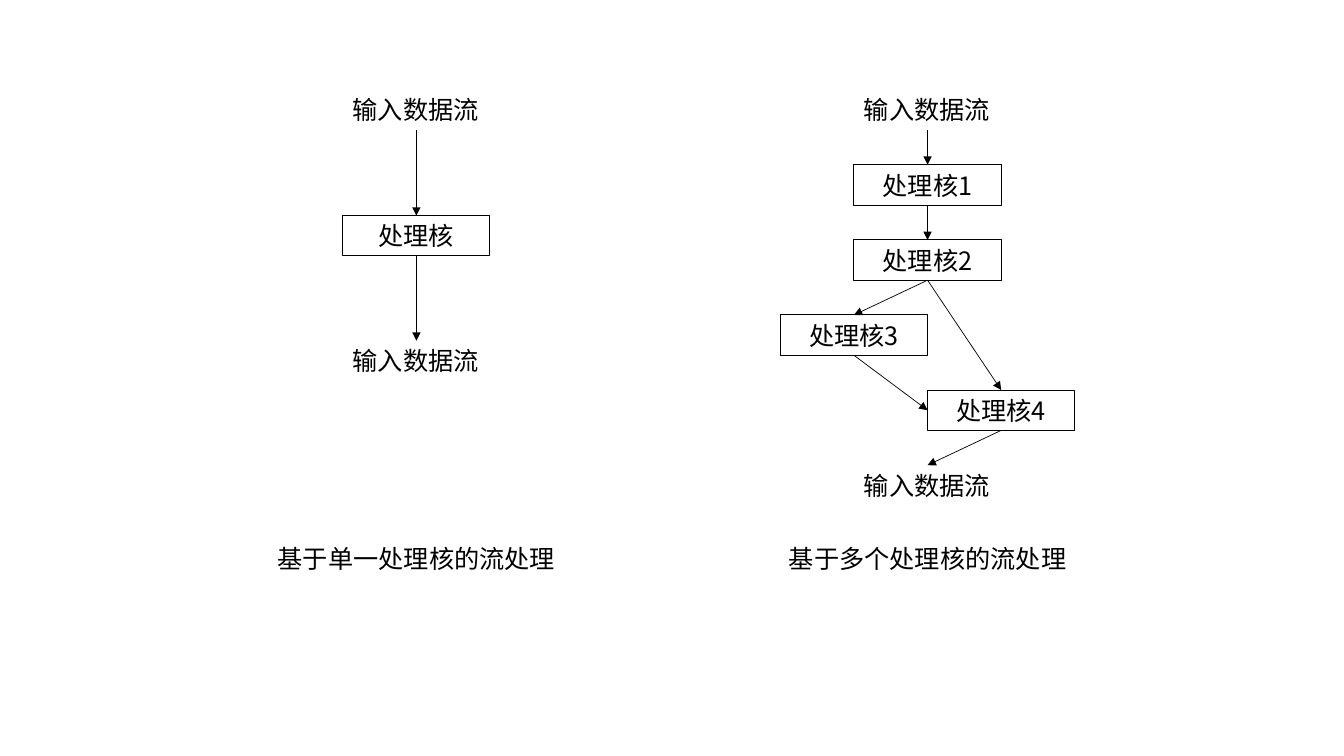
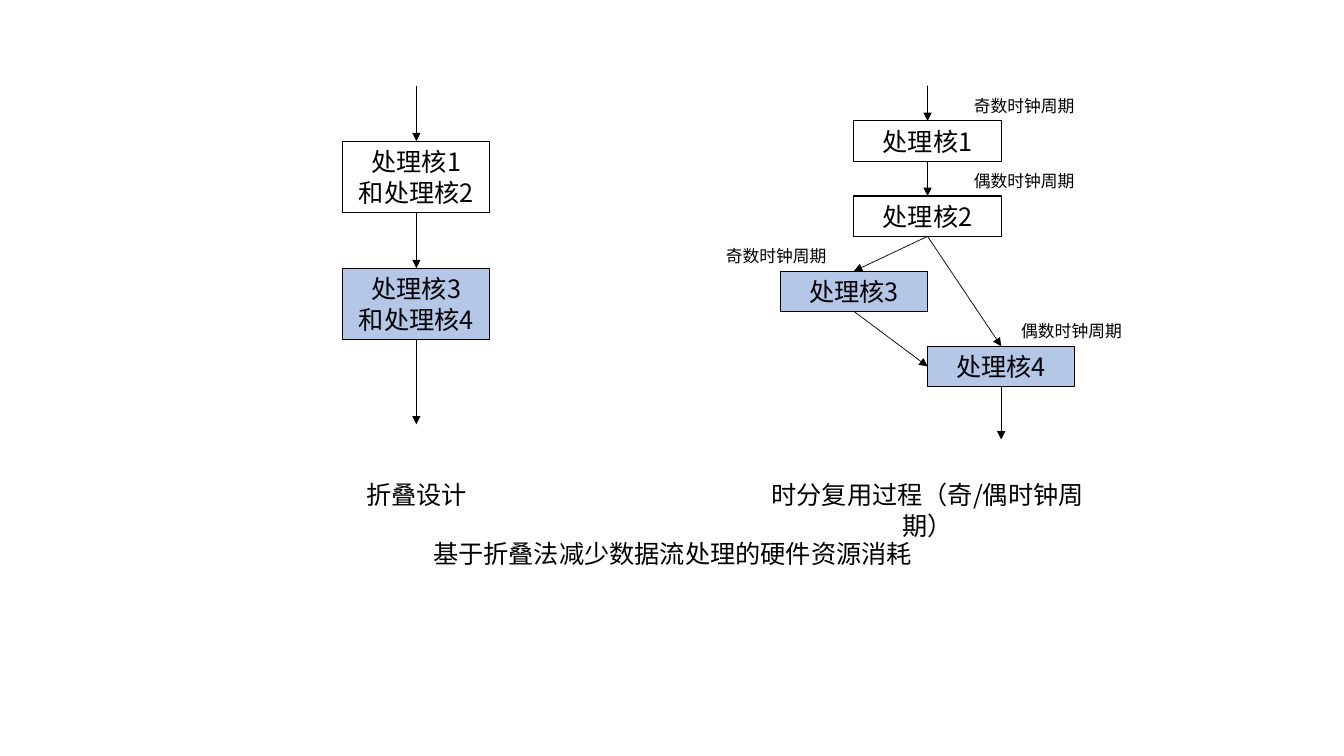
from dataclasses import dataclass

from lxml import etree
from pptx import Presentation
from pptx.dml.color import RGBColor
from pptx.enum.shapes import MSO_CONNECTOR as Connector, MSO_SHAPE as Preset
from pptx.enum.text import MSO_AUTO_SIZE as AutoSize, PP_ALIGN as Align
from pptx.oxml.ns import qn
from pptx.util import Inches, Pt


@dataclass(frozen=True)
class Theme:
    font: str = "Noto Sans CJK SC"
    ink: RGBColor = RGBColor(0x00, 0x00, 0x00)
    folded: RGBColor = RGBColor(0xB4, 0xC7, 0xE7)
    body: Pt = Pt(18)
    small: Pt = Pt(12)
    border: Pt = Pt(0.75)
    arrow: Pt = Pt(0.5)


THEME = Theme()

# Content
STREAM = "输入数据流"
SINGLE_CORE = "处理核"
CORES = ["处理核1", "处理核2", "处理核3", "处理核4"]
FOLDED_CORES = [("处理核1\n和处理核2", None), ("处理核3\n和处理核4", THEME.folded)]
CORE_FILLS = [None, None, THEME.folded, THEME.folded]
# Text, left edge, and the core it stands above
CLOCK_LABELS = [
    ("奇数时钟周期", 9.56, 0),
    ("偶数时钟周期", 9.56, 1),
    ("奇数时钟周期", 7.1, 2),
    ("偶数时钟周期", 10.03, 3),
]
# Text, centre, top, width
STREAM_CAPTIONS = [
    ("基于单一处理核的流处理", 4.13, 5.34, 2.98),
    ("基于多个处理核的流处理", 9.2, 5.34, 2.98),
]
FOLDING_CAPTIONS = [
    ("折叠设计", 4.13, 4.71, 2.98),
    ("时分复用过程（奇/偶时钟周期）", 9.2, 4.71, 3.67),
    ("基于折叠法减少数据流处理的硬件资源消耗", 6.67, 5.29, 5.2),
]

# Geometry in inches
LEFT_AXIS, RIGHT_AXIS = 4.13, 9.2
BOX_WIDTH, BOX_HEIGHT, TALL_HEIGHT = 1.46, 0.4, 0.71
LABEL_WIDTH, LABEL_HEIGHT = 1.21, 0.3
ROW_PITCH = 0.745
STREAM_TOP, FLOW_TOP = 0.89, 0.85
FORK_OFFSETS = [0, 0, -BOX_WIDTH / 2, BOX_WIDTH / 2]

# Connection sites of a rectangle
TOP, LEFT, BOTTOM = 0, 1, 2
# Source core, target core, site on the target
FORK_LINKS = [(0, 1, TOP), (1, 2, TOP), (1, 3, TOP), (2, 3, LEFT)]


def write_text(shape, text, size, align, wrap=True):
    frame = shape.text_frame
    frame.word_wrap = wrap
    frame.auto_size = AutoSize.SHAPE_TO_FIT_TEXT
    frame.text = text
    for paragraph in frame.paragraphs:
        paragraph.alignment = align
        font = paragraph.font
        font.name, font.size = THEME.font, size
        font.color.rgb = THEME.ink
        properties = paragraph._p.pPr.find(qn("a:defRPr"))
        etree.SubElement(properties, qn("a:ea"), typeface=THEME.font)


def add_text(slide, text, left, top, width, height=BOX_HEIGHT,
             size=THEME.body, align=Align.CENTER, wrap=True):
    shape = slide.shapes.add_textbox(*map(Inches, (left, top, width, height)))
    write_text(shape, text, size, align, wrap)
    return shape


def add_stream(slide, center, top):
    return add_text(slide, STREAM, center - BOX_WIDTH / 2, top, BOX_WIDTH,
                    align=Align.LEFT)


def add_core(slide, text, center, top, fill=None, height=BOX_HEIGHT):
    shape = slide.shapes.add_shape(
        Preset.RECTANGLE,
        *map(Inches, (center - BOX_WIDTH / 2, top, BOX_WIDTH, height)))
    shape.shadow.inherit = False
    if fill is None:
        shape.fill.background()
    else:
        shape.fill.solid()
        shape.fill.fore_color.rgb = fill
    shape.line.color.rgb = THEME.ink
    shape.line.width = THEME.border
    write_text(shape, text, THEME.body, Align.CENTER)
    return shape


def add_arrow(slide, start, end, end_site=TOP):
    """Join two ends, each either a shape or an (x, y) point in inches."""
    loose = [point if isinstance(point, tuple) else (0, 0) for point in (start, end)]
    arrow = slide.shapes.add_connector(
        Connector.STRAIGHT, *(Inches(value) for point in loose for value in point))
    if not isinstance(start, tuple):
        arrow.begin_connect(start, BOTTOM)
    if not isinstance(end, tuple):
        arrow.end_connect(end, end_site)
    arrow.line.color.rgb = THEME.ink
    arrow.line.width = THEME.arrow
    etree.SubElement(arrow.line._get_or_add_ln(), qn("a:tailEnd"), type="triangle")
    etree.SubElement(arrow._element.spPr, qn("a:effectLst"))


def add_chain(slide, ends):
    for start, end in zip(ends, ends[1:]):
        add_arrow(slide, start, end)


def add_fork(slide, top, fills):
    """Two stacked cores that branch into two staggered ones."""
    cores = [
        add_core(slide, text, RIGHT_AXIS + offset, top + row * ROW_PITCH, fill)
        for row, (text, offset, fill) in enumerate(zip(CORES, FORK_OFFSETS, fills))
    ]
    for source, target, site in FORK_LINKS:
        add_arrow(slide, cores[source], cores[target], site)
    return cores


def add_captions(slide, captions):
    for text, center, top, width in captions:
        add_text(slide, text, center - width / 2, top, width)


def build_stream_slide(slide):
    # Single core
    add_chain(slide, [
        add_stream(slide, LEFT_AXIS, STREAM_TOP),
        add_core(slide, SINGLE_CORE, LEFT_AXIS, 2.14),
        add_stream(slide, LEFT_AXIS, 3.38),
    ])
    # Several cores
    cores = add_fork(slide, STREAM_TOP + ROW_PITCH, [None] * len(CORES))
    add_arrow(slide, add_stream(slide, RIGHT_AXIS, STREAM_TOP), cores[0])
    output_top = STREAM_TOP + 5 * ROW_PITCH
    add_arrow(slide, cores[-1], add_stream(slide, RIGHT_AXIS, output_top))
    add_captions(slide, STREAM_CAPTIONS)


def build_folding_slide(slide):
    # Folded design
    folded = [
        add_core(slide, text, LEFT_AXIS, 1.4 + row * 1.26, fill, TALL_HEIGHT)
        for row, (text, fill) in enumerate(FOLDED_CORES)
    ]
    add_chain(slide, [(LEFT_AXIS, FLOW_TOP), *folded, (LEFT_AXIS, 4.21)])
    # Time-multiplexed process
    fork_top = 1.2
    cores = add_fork(slide, fork_top, CORE_FILLS)
    add_arrow(slide, (RIGHT_AXIS, FLOW_TOP), cores[0])
    add_arrow(slide, cores[-1], (RIGHT_AXIS + FORK_OFFSETS[-1], 4.36))
    for text, left, row in CLOCK_LABELS:
        add_text(slide, text, left, fork_top - LABEL_HEIGHT + row * ROW_PITCH,
                 LABEL_WIDTH, LABEL_HEIGHT, THEME.small, Align.LEFT, wrap=False)
    add_captions(slide, FOLDING_CAPTIONS)


def main():
    presentation = Presentation()
    presentation.slide_width = Inches(13.33)
    presentation.slide_height = Inches(7.5)
    blank = presentation.slide_layouts[6]
    for build in (build_stream_slide, build_folding_slide):
        build(presentation.slides.add_slide(blank))
    presentation.save("out.pptx")


if __name__ == "__main__":
    main()
